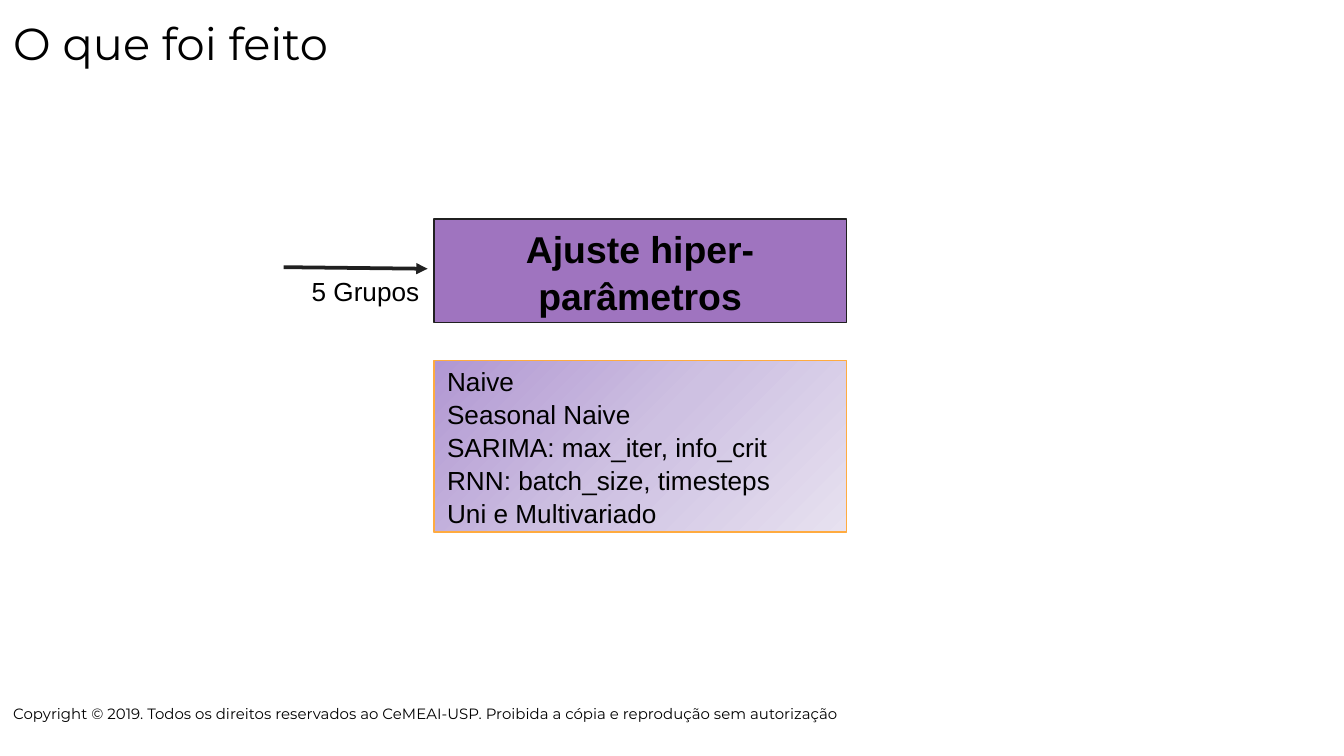
from dataclasses import dataclass

from lxml import etree
from pptx import Presentation
from pptx.dml.color import RGBColor
from pptx.enum import shapes, text
from pptx.oxml import parse_xml
from pptx.oxml.ns import nsdecls, qn
from pptx.slide import Slide
from pptx.util import Cm, Pt


@dataclass(frozen=True)
class Theme:
    ink: str = "000000"
    outline: str = "202020"
    accent: str = "FFAB40"
    purple: str = "7030A0"
    purple_alpha: int = 67
    lilac_stops: tuple[tuple[int, str], ...] = ((0, "B197D2"), (50, "CEC1E2"), (100, "E7E1F0"))
    heading_font: str = "Montserrat"
    body_font: str = "Arial"
    title_size: int = 24
    step_size: int = 20
    body_size: int = 14
    footer_size: int = 8


THEME = Theme()


@dataclass(frozen=True)
class Block:
    """Lines of text in a box; lengths in centimetres, sizes in points."""
    lines: tuple[str, ...]
    left: float
    top: float
    width: float
    height: float
    size: int
    font: str = THEME.body_font
    bold: bool = False
    centred: bool = False
    inset: float = 0.13
    spacing: float = 1.05
    fill_xml: str = ""
    line: str = ""


def solid_fill(colour: str, alpha: int) -> str:
    return (f'<a:solidFill {nsdecls("a")}><a:srgbClr val="{colour}">'
            f'<a:alpha val="{alpha * 1000}"/></a:srgbClr></a:solidFill>')


def diagonal_fill(stops: tuple[tuple[int, str], ...]) -> str:
    marks = "".join(f'<a:gs pos="{pos * 1000}"><a:srgbClr val="{colour}"/></a:gs>'
                    for pos, colour in stops)
    return (f'<a:gradFill rotWithShape="1" {nsdecls("a")}><a:gsLst>{marks}</a:gsLst>'
            '<a:lin ang="2700000" scaled="0"/></a:gradFill>')


COLUMN_LEFT, COLUMN_WIDTH = 8.2, 7.8

BLOCKS = (
    Block(("Copyright © 2019. Todos os direitos reservados ao CeMEAI-USP. "
           "Proibida a cópia e reprodução sem autorização",),
          0, 13.03, 17.7, 0.91, THEME.footer_size, THEME.heading_font, inset=0.25, spacing=1),
    Block(("O que foi feito",), 0, 0, 23.67, 1.6, THEME.title_size, THEME.heading_font,
          inset=0.25, spacing=1),
    Block(("Ajuste hiper-parâmetros",), COLUMN_LEFT, 4.14, COLUMN_WIDTH, 1.96, THEME.step_size,
          bold=True, centred=True, line=THEME.outline,
          fill_xml=solid_fill(THEME.purple, THEME.purple_alpha)),
    Block(("Naive", "Seasonal Naive", "SARIMA: max_iter, info_crit",
           "RNN: batch_size, timesteps", "Uni e Multivariado"),
          COLUMN_LEFT, 6.81, COLUMN_WIDTH, 3.25, THEME.body_size,
          line=THEME.accent, fill_xml=diagonal_fill(THEME.lilac_stops)),
    Block(("5 Grupos",), 5.64, 5.05, 2.77, 0.86, THEME.body_size),
)


def draw_block(slide: Slide, block: Block) -> None:
    bounds = [Cm(v) for v in (block.left, block.top, block.width, block.height)]
    if block.fill_xml:
        box = slide.shapes.add_shape(shapes.MSO_SHAPE.RECTANGLE, *bounds)
        box.shadow.inherit = False
        box.line.color.rgb = RGBColor.from_string(block.line)
        box.line.width = Pt(0.75)
        geometry = box.element.spPr.find(qn("a:prstGeom"))
        geometry.addnext(parse_xml(block.fill_xml))
    else:
        box = slide.shapes.add_textbox(*bounds)

    frame = box.text_frame
    frame.word_wrap = True
    frame.vertical_anchor = text.MSO_ANCHOR.MIDDLE
    frame.margin_left = frame.margin_right = Cm(0.25)
    frame.margin_top = frame.margin_bottom = Cm(block.inset)
    frame.text = "\n".join(block.lines)
    for paragraph in frame.paragraphs:
        paragraph.alignment = text.PP_ALIGN.CENTER if block.centred else text.PP_ALIGN.LEFT
        paragraph.line_spacing = block.spacing
        for run in paragraph.runs:
            run.font.name = block.font
            run.font.size = Pt(block.size)
            run.font.bold = block.bold
            run.font.color.rgb = RGBColor.from_string(THEME.ink)


def draw_arrow(slide: Slide, start: tuple[float, float], end: tuple[float, float]) -> None:
    arrow = slide.shapes.add_connector(
        shapes.MSO_CONNECTOR.STRAIGHT, *(Cm(v) for v in (*start, *end)))
    arrow.line.color.rgb = RGBColor.from_string(THEME.outline)
    arrow.line.width = Pt(2)
    etree.SubElement(arrow.line._get_or_add_ln(), qn("a:tailEnd"), type="triangle")
    etree.SubElement(arrow.element.spPr, qn("a:effectLst"))


def main() -> None:
    deck = Presentation()
    deck.slide_width, deck.slide_height = Cm(25.4), Cm(14.29)
    slide = deck.slides.add_slide(deck.slide_layouts[6])
    for block in BLOCKS:
        draw_block(slide, block)
    draw_arrow(slide, (5.36, 5.05), (8.08, 5.08))
    deck.save("out.pptx")


if __name__ == "__main__":
    main()
